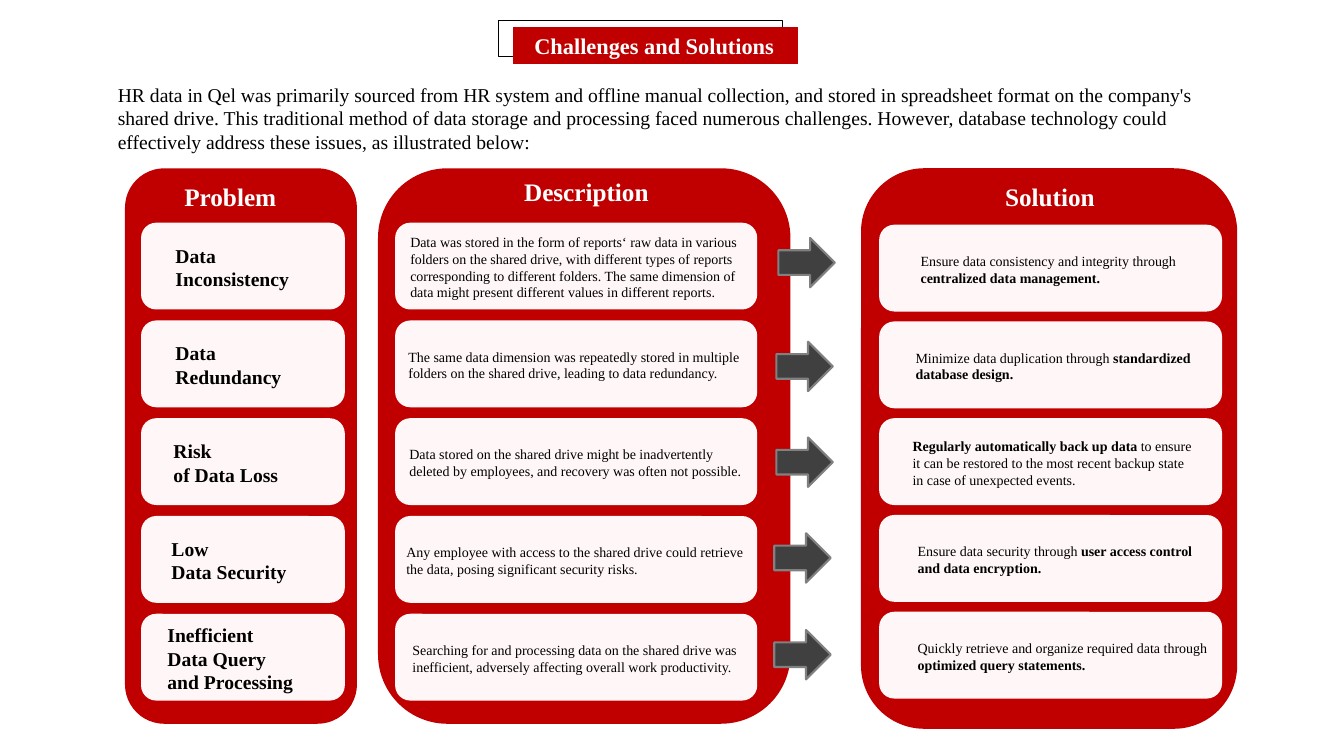
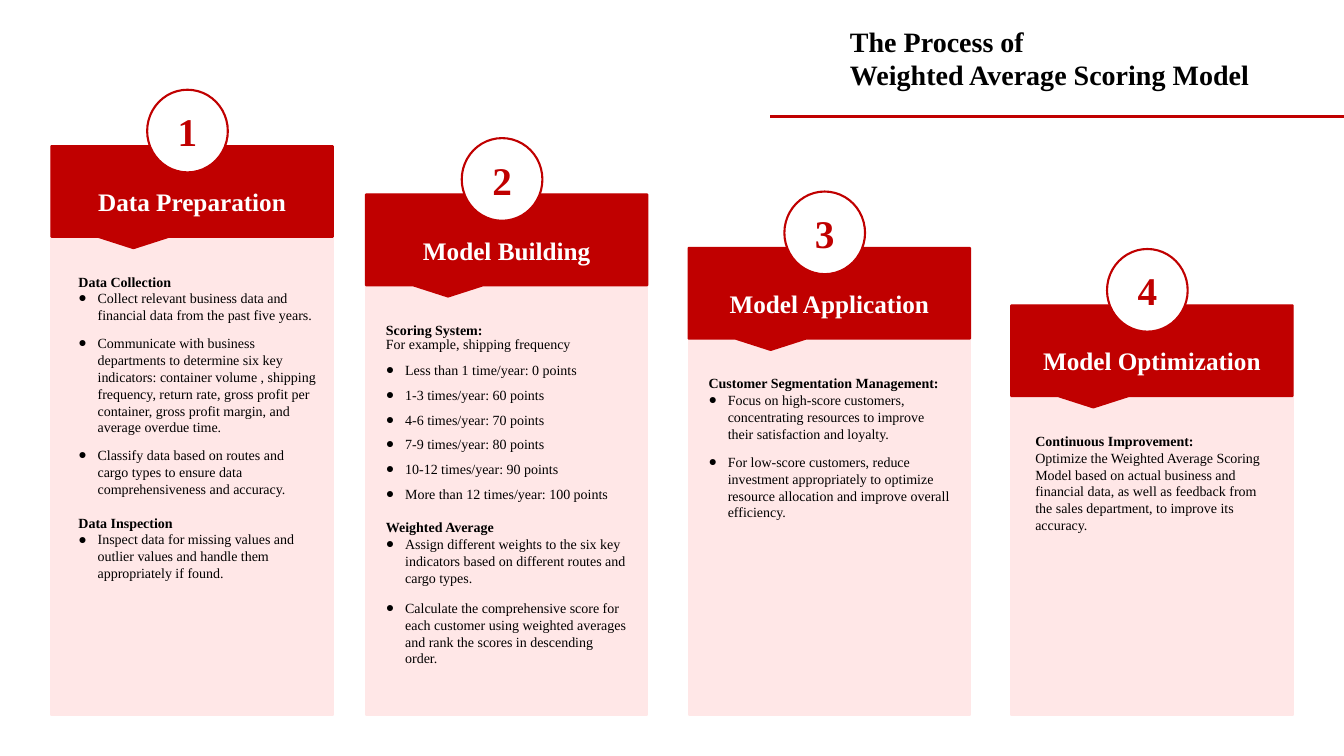
from lxml import etree
from pptx import Presentation
from pptx.dml.color import RGBColor
from pptx.enum.shapes import MSO_CONNECTOR, MSO_SHAPE
from pptx.enum.text import MSO_ANCHOR, MSO_AUTO_SIZE, PP_ALIGN
from pptx.oxml.ns import qn
from pptx.util import Inches, Pt

RECT, ROUNDED = MSO_SHAPE.RECTANGLE, MSO_SHAPE.ROUNDED_RECTANGLE
ARROW, OVAL = MSO_SHAPE.RIGHT_ARROW, MSO_SHAPE.OVAL
CALLOUT = MSO_SHAPE.RECTANGULAR_CALLOUT
STRAIGHT = MSO_CONNECTOR.STRAIGHT
TOP, MIDDLE = MSO_ANCHOR.TOP, MSO_ANCHOR.MIDDLE
LEFT, CENTER = PP_ALIGN.LEFT, PP_ALIGN.CENTER
NO_AUTOFIT = MSO_AUTO_SIZE.NONE

FONT = "Times New Roman"
RED = RGBColor(0xC0, 0x00, 0x00)
BLUSH = RGBColor(0xFF, 0xF7, 0xF7)
PINK = RGBColor(0xFF, 0xE7, 0xE7)
WHITE = RGBColor(0xFF, 0xFF, 0xFF)
BLACK = RGBColor(0x00, 0x00, 0x00)
DARK = RGBColor(0x40, 0x40, 0x40)
GREY = RGBColor(0x80, 0x80, 0x80)

INTRO = (
    "HR data in Qel was primarily sourced from HR system and offline manual collection, "
    "and stored in spreadsheet format on the company's shared drive. This traditional method of "
    "data storage and processing faced numerous challenges. However, database technology "
    "could effectively address these issues, as illustrated below:"
)

COLUMNS = [
    {
        "heading": "Problem", "heading_at": (1.73, 1.75), "box": (1.25, 1.68, 2.28, 5.49),
        "cards_at": (1.41, 2.22), "card_width": 2, "pitch": 0.97, "size": 14, "bold": True,
        "cards": [
            (0.33, 0.05, "Data\nInconsistency"),
            (0.33, 0.05, "Data\nRedundancy"),
            (0.31, 0.05, "Risk\nof Data Loss"),
            (0.29, 0.05, "Low\nData Security"),
            (0.25, 0.05, "Inefficient\nData Query\nand Processing"),
        ],
    },
    {
        "heading": "Description", "heading_at": (5.1, 1.7), "box": (3.76, 1.68, 4.07, 5.49),
        "cards_at": (3.93, 2.22), "card_width": 3.57, "pitch": 0.97, "size": 10, "bold": False,
        "cards": [
            (0.14, 0.11, "Data was stored in the form of reports‘ raw data in various folders on "
             "the shared drive, with different types of reports corresponding to different folders. "
             "The same dimension of data might present different values in different reports."),
            (0.12, 0.11, "The same data dimension was repeatedly stored in multiple folders on the "
             "shared drive, leading to data redundancy."),
            (0.13, 0.1, "Data stored on the shared drive might be inadvertently deleted by "
             "employees, and recovery was often not possible."),
            (0.1, 0.1, "Any employee with access to the shared drive could retrieve the data, "
             "posing significant security risks."),
            (0.16, 0.11, "Searching for and processing data on the shared drive was inefficient, "
             "adversely affecting overall work productivity."),
        ],
    },
    {
        "heading": "Solution", "heading_at": (9.87, 1.75), "box": (8.55, 1.68, 3.71, 5.54),
        "cards_at": (8.73, 2.24), "card_width": 3.38, "pitch": 0.96, "size": 10, "bold": False,
        "cards": [
            (0.4, 0.34, "Ensure data consistency and integrity through "
             "**centralized data management."),
            (0.35, 0.26, "Minimize data duplication through **standardized database design."),
            (0.32, 0.23, "**Regularly automatically back up data **to ensure it can be restored to "
             "the most recent backup state in case of unexpected events."),
            (0.37, 0.25, "Ensure data security through **user access control and data encryption."),
            (0.37, 0.13, "Quickly retrieve and organize required data through "
             "**optimized query statements."),
        ],
    },
]
CARD_HEIGHT = 0.84
CORNER_INSET = 0.04
ARROWS_AT = [(7.72, 2.36), (7.7, 3.39), (7.7, 4.34), (7.68, 5.29), (7.68, 6.25)]

LINE_STYLES = {
    "heading": {"bold": True},
    "text": {},
    "tight text": {"spacing": 0.8},
    "bullet": {"bullet": True},
    "tight bullet": {"bullet": True, "spacing": 0.8},
}

STEPS = [
    {
        "name": "Data Preparation", "at": (0.51, 1.45), "text_left": 0.68, "text_width": 2.55,
        "lines": [
            ("heading", 0, "Data Collection"),
            ("bullet", 0, "Collect relevant business data and financial data from the past "
             "five years."),
            ("bullet", 8, "Communicate with business departments to determine six key indicators: "
             "container volume , shipping frequency, return rate, gross profit per container, "
             "gross profit margin, and average overdue time."),
            ("bullet", 8, "Classify data based on routes and cargo types to ensure data "
             "comprehensiveness and accuracy."),
            ("heading", 12, "Data Inspection"),
            ("bullet", 0, "Inspect data for missing values and outlier values and handle them "
             "appropriately if found."),
        ],
    },
    {
        "name": "Model Building", "at": (3.63, 1.93), "text_left": 3.73, "text_width": 2.59,
        "lines": [
            ("heading", 0, "Scoring System:"),
            ("tight text", 0, "For example, shipping frequency"),
            ("tight bullet", 9.6, "Less than 1 time/year: 0 points"),
            ("tight bullet", 8, "1-3 times/year: 60 points"),
            ("tight bullet", 8, "4-6 times/year: 70 points"),
            ("tight bullet", 8, "7-9 times/year: 80 points"),
            ("tight bullet", 8, "10-12 times/year: 90 points"),
            ("tight bullet", 8, "More than 12 times/year: 100 points"),
            ("heading", 12, "Weighted Average"),
            ("bullet", 0, "Assign different weights to the six key indicators based on different "
             "routes and cargo types."),
            ("bullet", 9.6, "Calculate the comprehensive score for each customer using weighted "
             "averages and rank the scores in descending order."),
        ],
    },
    {
        "name": "Model Application", "at": (6.83, 2.46), "text_left": 6.93, "text_width": 2.59,
        "lines": [
            ("heading", 0, "Customer Segmentation Management:"),
            ("bullet", 0, "Focus on high-score customers, concentrating resources to improve their "
             "satisfaction and loyalty."),
            ("bullet", 8, "For low-score customers, reduce investment appropriately to optimize "
             "resource allocation and improve overall efficiency."),
        ],
    },
    {
        "name": "Model Optimization", "at": (10.03, 3.03), "text_left": 10.17, "text_width": 2.59,
        "lines": [
            ("heading", 0, "Continuous Improvement:"),
            ("text", 0, "Optimize the Weighted Average Scoring Model based on actual business and "
             "financial data, as well as feedback from the sales department, to improve its "
             "accuracy."),
        ],
    },
]
STEP_WIDTH, BANNER_HEIGHT, STEP_BOTTOM = 2.79, 0.9, 7.09


def add_box(slide, kind, box, fill, line, line_width=1.5):
    shape = slide.shapes.add_shape(kind, *map(Inches, box))
    shape.shadow.inherit = False
    shape.fill.solid()
    shape.fill.fore_color.rgb = fill
    shape.line.color.rgb = line
    shape.line.width = Pt(line_width)
    return shape


def style_paragraph(paragraph, size, color, bold=False, align=LEFT):
    paragraph.alignment = align
    font = paragraph.font
    font.name, font.size, font.bold = FONT, Pt(size), bold
    font.color.rgb = color


def write(shape, text, size, color=BLACK, bold=False, align=LEFT, anchor=TOP,
          margins=(0.1, 0.05, 0.1, 0.05)):
    frame = shape.text_frame
    frame.word_wrap = True
    frame.auto_size = NO_AUTOFIT
    frame.vertical_anchor = anchor
    (frame.margin_left, frame.margin_top,
     frame.margin_right, frame.margin_bottom) = map(Inches, margins)
    for index, line in enumerate(text.split("\n")):
        paragraph = frame.add_paragraph() if index else frame.paragraphs[0]
        style_paragraph(paragraph, size, color, bold, align)
        for part, words in enumerate(line.split("**")):
            if words:
                run = paragraph.add_run()
                run.text = words
                if part % 2:
                    run.font.bold = True


def add_text(slide, box, text, size, **style):
    write(slide.shapes.add_textbox(*map(Inches, box)), text, size, **style)


def add_title(slide, box, text, size, **style):
    title = slide.shapes.title
    title.left, title.top, title.width, title.height = map(Inches, box)
    write(title, text, size, bold=True, **style)
    return title


def add_bullet(paragraph):
    properties = paragraph._p.get_or_add_pPr()
    properties.set("marL", str(Inches(0.19)))
    properties.set("indent", str(Inches(-0.19)))
    etree.SubElement(properties, qn("a:buFont")).set("typeface", FONT)
    etree.SubElement(properties, qn("a:buChar")).set("char", "●")


def add_lines(slide, box, lines):
    frame = slide.shapes.add_textbox(*map(Inches, box)).text_frame
    frame.word_wrap = True
    for index, (kind, gap, text) in enumerate(lines):
        style = LINE_STYLES[kind]
        paragraph = frame.add_paragraph() if index else frame.paragraphs[0]
        paragraph.text = text
        paragraph.space_before = Pt(gap)
        paragraph.line_spacing = style.get("spacing", 1.0)
        if style.get("bullet"):
            add_bullet(paragraph)
        style_paragraph(paragraph, 10, BLACK, style.get("bold", False))


def add_column(slide, column):
    add_box(slide, ROUNDED, column["box"], RED, RED)
    add_text(slide, (*column["heading_at"], 1.96, 0.41), column["heading"], 18,
             color=WHITE, bold=True)
    left, top = column["cards_at"]
    for row, (inset_left, inset_right, text) in enumerate(column["cards"]):
        box = (left, top + row * column["pitch"], column["card_width"], CARD_HEIGHT)
        card = add_box(slide, ROUNDED, box, BLUSH, BLUSH)
        write(card, text, column["size"], bold=column["bold"], anchor=MIDDLE,
              margins=(inset_left - CORNER_INSET, 0.02, inset_right - CORNER_INSET, 0))


def add_step(slide, number, step):
    left, top = step["at"]
    add_box(slide, RECT, (left, top, STEP_WIDTH, STEP_BOTTOM - top), PINK, PINK)
    banner = add_box(slide, CALLOUT, (left, top, STEP_WIDTH, BANNER_HEIGHT), RED, RED)
    write(banner, step["name"], 18, color=WHITE, bold=True, align=CENTER, anchor=MIDDLE,
          margins=(0, 0.2, 0, 0))
    badge = add_box(slide, OVAL, (left + 0.95, top - 0.56, 0.8, 0.82), WHITE, RED)
    write(badge, str(number), 28, color=RED, bold=True, align=CENTER, anchor=MIDDLE,
          margins=(0, 0, 0, 0))
    text_top = top + 1.21
    add_lines(slide, (step["text_left"], text_top, step["text_width"], STEP_BOTTOM - text_top),
              step["lines"])


def build_challenges(slide):
    title = add_title(slide, (5.09, 0.27, 2.82, 0.36), "Challenges and Solutions", 16,
                      color=WHITE, margins=(0.21, 0.05, 0, 0.05))
    title.fill.solid()
    title.fill.fore_color.rgb = RED
    title.line.color.rgb = RED
    title.line.width = Pt(0.75)
    frame = add_box(slide, RECT, (4.94, 0.2, 2.82, 0.36), WHITE, BLACK, 0.75)
    title._element.addprevious(frame._element)
    add_text(slide, (1.07, 0.77, 11.04, 0.81), INTRO, 14)
    for column in COLUMNS:
        add_column(slide, column)
    for left, top in ARROWS_AT:
        add_box(slide, ARROW, (left, top, 0.56, 0.49), DARK, GREY)


def build_process(slide):
    add_title(slide, (8.33, 0.19, 4.76, 0.77), "The Process of\nWeighted Average Scoring Model", 20)
    rule = slide.shapes.add_connector(STRAIGHT, *map(Inches, (7.64, 1.16, 13.33, 1.16)))
    rule.line.color.rgb = RED
    rule.line.width = Pt(2.25)
    etree.SubElement(rule._element.spPr, qn("a:effectLst"))
    for number, step in enumerate(STEPS, 1):
        add_step(slide, number, step)


def main():
    deck = Presentation()
    deck.slide_width, deck.slide_height = Inches(13.33), Inches(7.5)
    title_only = deck.slide_layouts[5]
    for build in (build_challenges, build_process):
        build(deck.slides.add_slide(title_only))
    deck.save("out.pptx")


if __name__ == "__main__":
    main()
